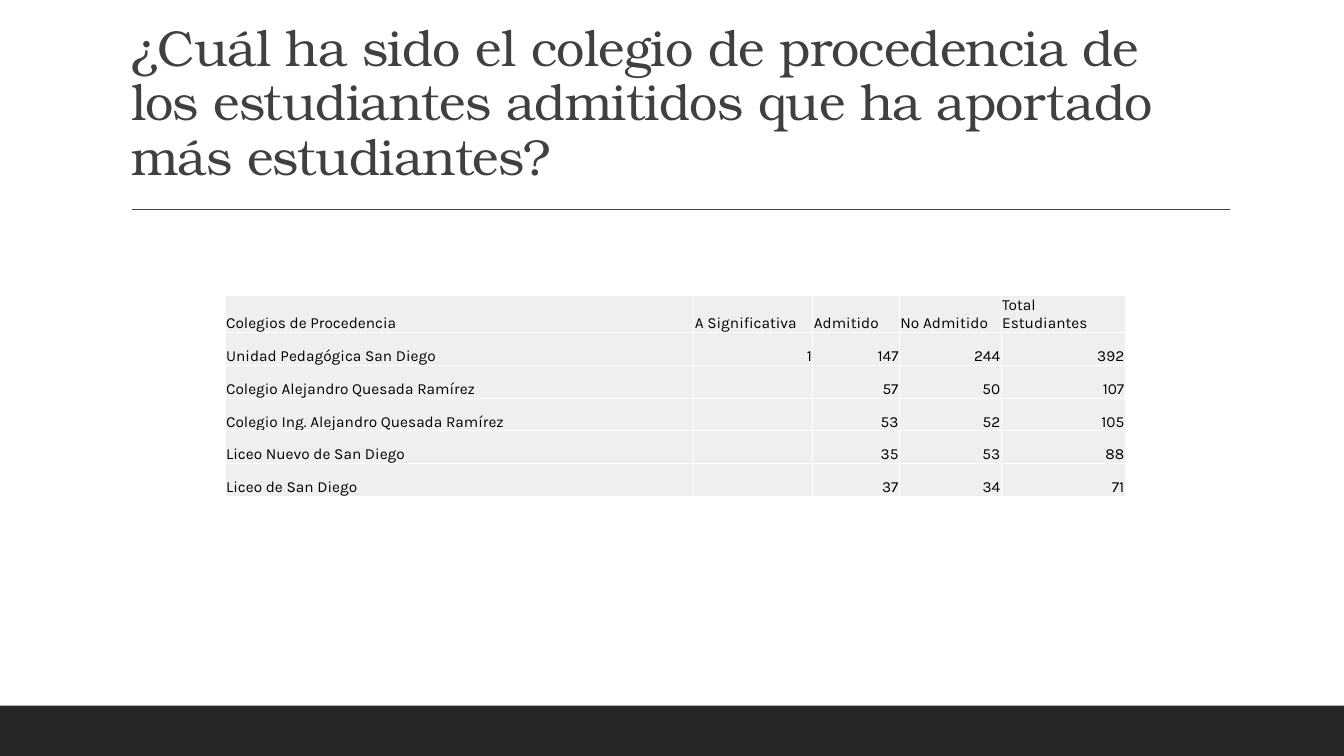
import lxml.etree
import pptx
import pptx.dml.color
import pptx.enum.shapes
import pptx.enum.text
import pptx.oxml.ns
import pptx.util

Pt = pptx.util.Pt
qn = pptx.oxml.ns.qn
Align = pptx.enum.text.PP_ALIGN
Anchor = pptx.enum.text.MSO_ANCHOR

COLORS = {"band": "262626", "title": "404040", "cell": "F0EFEE", "border": "FFFFFF", "text": "000000"}
PAGE_WIDTH, PAGE_HEIGHT = 960, 540
TITLE = ("¿Cuál ha sido el colegio de procedencia de los estudiantes "
         "admitidos que ha aportado más estudiantes?")
COLUMN_WIDTHS = [334.8, 85, 61.9, 72.7, 88.6]
SCHOOLS = [
    ["Colegios de Procedencia", "A Significativa", "Admitido", "No Admitido", "Total Estudiantes"],
    ["Unidad Pedagógica San Diego", 1, 147, 244, 392],
    ["Colegio Alejandro Quesada Ramírez", None, 57, 50, 107],
    ["Colegio Ing. Alejandro Quesada Ramírez", None, 53, 52, 105],
    ["Liceo Nuevo de San Diego", None, 35, 53, 88],
    ["Liceo de San Diego", None, 37, 34, 71],
]


def color(name):
    return pptx.dml.color.RGBColor.from_string(COLORS[name])


def apply(target, values):
    for name, value in values.items():
        setattr(target, name, value)


def paint(fill, name):
    fill.solid()
    fill.fore_color.rgb = color(name)


def write(para, text, font, size, tone):
    span = para.add_run()
    span.text = text
    apply(span.font, {"name": font, "size": Pt(size)})
    span.font.color.rgb = color(tone)
    return span


def add_title(page, left, top, width, height):
    """Place the title with the rule below it."""
    title = page.shapes.title
    apply(title, {"left": Pt(left), "top": Pt(top), "width": Pt(width), "height": Pt(height)})
    apply(title.text_frame, {"word_wrap": True, "vertical_anchor": Anchor.BOTTOM,
                             "auto_size": pptx.enum.text.MSO_AUTO_SIZE.NONE})
    para = title.text_frame.paragraphs[0]
    apply(para, {"alignment": Align.LEFT, "line_spacing": 0.9})
    span = write(para, TITLE, "TeX Gyre Bonum", 36, "title")
    span.font._element.set("spc", "-50")

    rule_left, rule_top = left + 8, top + height + 13
    rule = page.shapes.add_connector(
        pptx.enum.shapes.MSO_CONNECTOR.STRAIGHT,
        Pt(rule_left), Pt(rule_top), Pt(rule_left + 784.5), Pt(rule_top))
    rule.line.width = Pt(1)
    rule.line.color.rgb = color("title")
    lxml.etree.SubElement(rule._element.spPr, qn("a:effectLst"))


def add_footer_band(page, left, top, width, height):
    band = page.shapes.add_shape(
        pptx.enum.shapes.MSO_SHAPE.RECTANGLE, Pt(left), Pt(top), Pt(width), Pt(height))
    band.shadow.inherit = False
    paint(band.fill, "band")
    band.line.fill.background()


def add_borders(cell):
    properties = cell._tc.get_or_add_tcPr()
    for side in ("a:lnL", "a:lnR", "a:lnT", "a:lnB"):
        line = lxml.etree.SubElement(properties, qn(side), w=str(Pt(1)))
        fill = lxml.etree.SubElement(line, qn("a:solidFill"))
        lxml.etree.SubElement(fill, qn("a:srgbClr"), val=COLORS["border"])


def fill_cell(cell, value):
    apply(cell, {"margin_left": Pt(0.7), "margin_right": Pt(0.7), "margin_top": Pt(0.7),
                 "margin_bottom": Pt(0), "vertical_anchor": Anchor.BOTTOM})
    add_borders(cell)
    paint(cell.fill, "cell")
    if value is not None:
        para = cell.text_frame.paragraphs[0]
        para.alignment = Align.RIGHT if isinstance(value, int) else Align.LEFT
        write(para, str(value), "Karla", 11, "text")


def add_school_table(page, left, top, width, height):
    table = page.shapes.add_table(
        len(SCHOOLS), len(COLUMN_WIDTHS), Pt(left), Pt(top), Pt(width), Pt(height)).table
    apply(table, {"first_row": False, "horz_banding": False})
    for column, share in zip(table.columns, COLUMN_WIDTHS):
        column.width = Pt(width * share / sum(COLUMN_WIDTHS))
    for row, values in zip(table.rows, SCHOOLS):
        row.height = Pt(height / len(SCHOOLS))
        for cell, value in zip(row.cells, values):
            fill_cell(cell, value)


def main():
    deck = pptx.Presentation()
    apply(deck, {"slide_width": Pt(PAGE_WIDTH), "slide_height": Pt(PAGE_HEIGHT)})
    page = deck.slides.add_slide(deck.slide_layouts.get_by_name("Title Only"))
    add_footer_band(page, 0, PAGE_HEIGHT - 36, PAGE_WIDTH, 36)
    add_title(page, 86.4, 22.4, 792, 114.3)
    add_school_table(page, 160.8, 211.2, 643, 140.4)
    deck.save("out.pptx")


if __name__ == "__main__":
    main()
